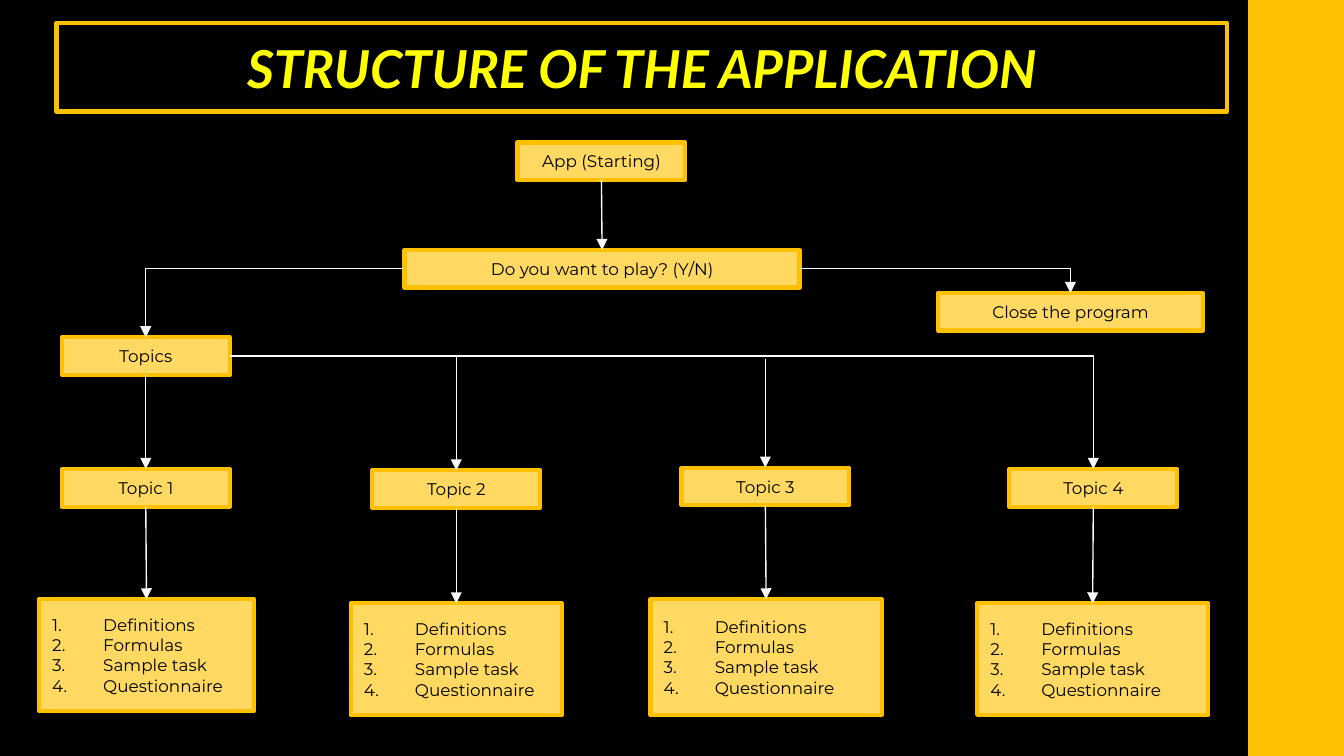
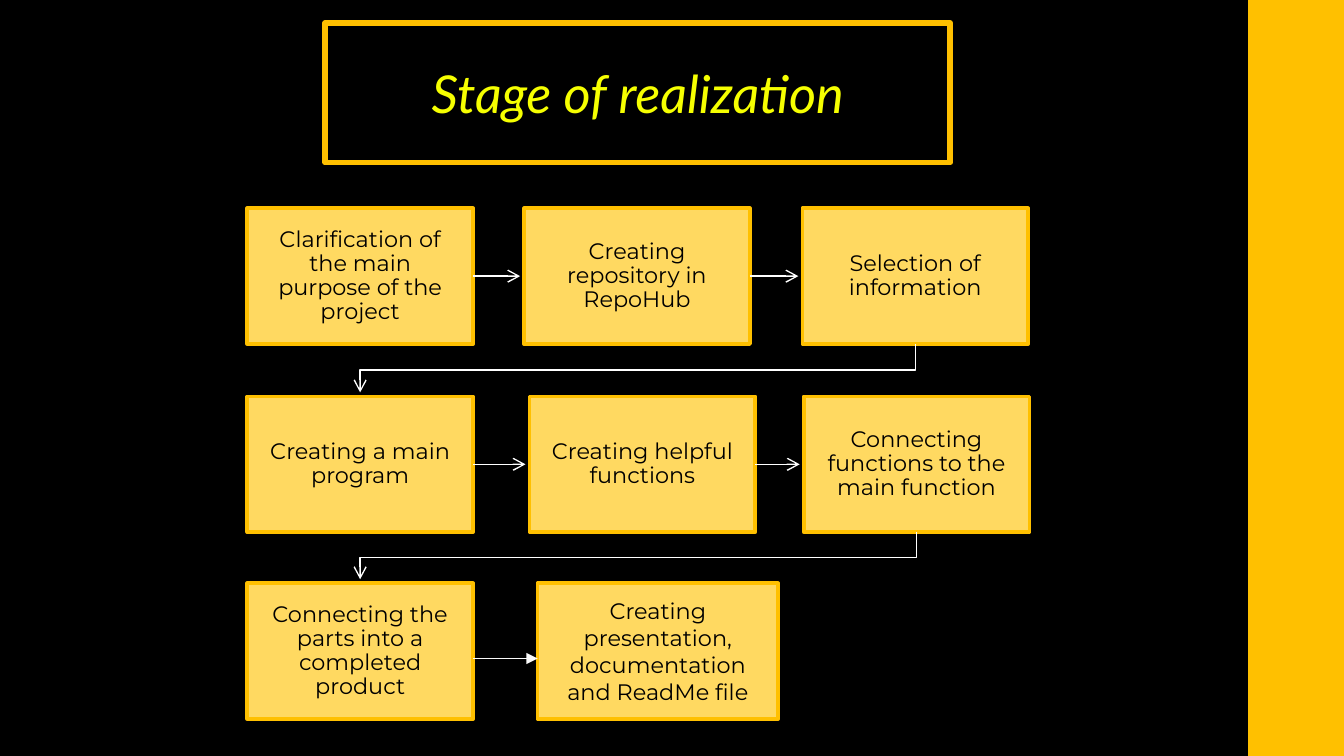
from lxml import etree
from pptx import Presentation
from pptx import util as u
from pptx.dml.color import RGBColor
from pptx.enum import shapes, text
from pptx.oxml.ns import qn

COLORS = {
    "back": "000000", "gold": "FFC000", "box": "FFD961", "ink": "000000",
    "line": "F9F9F9", "arrow": "FFFFFF", "title": "FFFF00", "stage title": "F6FF00",
}
PAGE_W, BAND_W = 10, 0.7
PAGE_H = PAGE_W * 9 / 16
BODY_FONT, TITLE_FONT = "Montserrat", "Lato"

# Content of the flow chart: name -> (text, left, top, width)
STRUCTURE_TITLE = "STRUCTURE OF THE APPLICATION"
NODE_W, NODE_H = 1.25, 0.28
NODES = {
    "start": ("App (Starting)", 3.85, 1.06, NODE_W),
    "ask": ("Do you want to play? (Y/N)", 3.01, 1.86, 2.94),
    "close": ("Close the program", 6.98, 2.18, 1.97),
    "topics": ("Topics", 0.46, 2.51, NODE_W),
    "topic 1": ("Topic 1", 0.46, 3.49, NODE_W),
    "topic 2": ("Topic 2", 2.77, 3.5, NODE_W),
    "topic 3": ("Topic 3", 5.07, 3.48, NODE_W),
    "topic 4": ("Topic 4", 7.51, 3.49, NODE_W),
}
TOPIC_PARTS = ["Definitions", "Formulas", "Sample task", "Questionnaire"]
PART_BOXES = {
    "topic 1": (0.29, 4.46, 1.6, 0.83),
    "topic 2": (2.61, 4.49, 1.57, 0.83),
    "topic 3": (4.84, 4.46, 1.72, 0.86),
    "topic 4": (7.27, 4.49, 1.72, 0.83),
}
STRAIGHT_LINKS = [("start", "ask"), ("topics", "topic 1")]
ELBOW_LINKS = [("ask", 1, "topics"), ("ask", 3, "close"), ("topics", 3, "topic 4")]
BRANCHES = [("topic 2", 2.65), ("topic 3", 2.67)]

# Content of the stages: top of the row, then (left, text) for each box
STAGES_TITLE = "Stage of realization"
STAGE_W, STAGE_H, LAST_W = 1.68, 1.01, 1.79
STAGE_ROWS = [
    (1.55, [(1.84, "Clarification of the main purpose of the project"),
            (3.9, "Creating repository in RepoHub"),
            (5.97, "Selection of information")]),
    (2.95, [(1.84, "Creating a main program"),
            (3.94, "Creating helpful functions"),
            (5.98, "Connecting functions to the main function")]),
    (4.34, [(1.84, "Connecting the parts into a completed product")]),
]
LAST_STAGE = (4, 4.34, "Creating presentation, documentation and ReadMe file")
ARROW_GAP = 0.03
LAST_ARROW_Y = 4.9


def rgb(name):
    return RGBColor.from_string(COLORS[name])


def inches(*values):
    return [u.Inches(value) for value in values]


def set_all(target, values):
    for name, value in values.items():
        setattr(target, name, value)


def set_frame(frame, insets, anchor):
    left, top = inches(*insets)
    set_all(frame, {
        "word_wrap": True, "auto_size": text.MSO_AUTO_SIZE.NONE, "vertical_anchor": anchor,
        "margin_left": left, "margin_right": left, "margin_top": top, "margin_bottom": top,
    })


def write(para, words, color, **font):
    span = para.add_run()
    span.text = words
    set_all(span.font, font)
    span.font.color.rgb = rgb(color)


def outline(shape, width):
    shape.line.color.rgb = rgb("gold")
    shape.line.width = u.Pt(width)


def add_box(page, place, lines, size, border, insets=(0.1, 0.05), spacing=None, numbered=False):
    box = page.shapes.add_shape(shapes.MSO_SHAPE.RECTANGLE, *inches(*place))
    box.shadow.inherit = False
    box.fill.solid()
    box.fill.fore_color.rgb = rgb("box")
    outline(box, border)
    frame = box.text_frame
    set_frame(frame, insets, text.MSO_ANCHOR.MIDDLE)
    for index, words in enumerate(lines):
        para = frame.add_paragraph() if index else frame.paragraphs[0]
        para.alignment = text.PP_ALIGN.JUSTIFY if numbered else text.PP_ALIGN.CENTER
        if spacing:
            para.line_spacing = spacing
        write(para, words, "ink", name=BODY_FONT, size=u.Pt(size))
        if numbered:
            number_paragraph(para)
    return box


def number_paragraph(para):
    props = para._p.get_or_add_pPr()
    indent = u.Inches(0.38)
    props.set("marL", str(indent))
    props.set("indent", str(-indent))
    tint = etree.SubElement(props, qn("a:buClr"))
    etree.SubElement(tint, qn("a:srgbClr"), val=COLORS["ink"])
    etree.SubElement(props, qn("a:buAutoNum"), type="arabicPeriod")


def style_arrow(line, color, head):
    line.line.color.rgb = rgb(color)
    line.line.width = u.Pt(0.75)
    props = line._element.spPr
    etree.SubElement(props.find(qn("a:ln")), qn("a:tailEnd"), type=head)
    etree.SubElement(props, qn("a:effectLst"))


def add_arrow(page, ends=(0, 0, 0, 0), begin=None, end=None, elbow=False,
              color="line", head="triangle"):
    """Draw an arrow; begin and end are (box, side) pairs that it joins."""
    kind = shapes.MSO_CONNECTOR.ELBOW if elbow else shapes.MSO_CONNECTOR.STRAIGHT
    arrow = page.shapes.add_connector(kind, *inches(*ends))
    if begin:
        arrow.begin_connect(*begin)
    if end:
        arrow.end_connect(*end)
    if elbow:
        arrow._element.spPr.find(qn("a:prstGeom")).set("prst", "bentConnector2")
    style_arrow(arrow, color, head)


def add_wrap_arrow(page, points):
    points = [tuple(inches(*point)) for point in points]
    builder = page.shapes.build_freeform(*points[0])
    builder.add_line_segments(points[1:], close=False)
    arrow = builder.convert_to_shape()
    arrow.fill.background()
    style_arrow(arrow, "arrow", "arrow")


def add_page(deck, words, place, color, border, insets, anchor, bold):
    """Add a page with the gold side band and the framed title."""
    page = deck.slides.add_slide(deck.slide_layouts[5])
    band = page.shapes.add_shape(
        shapes.MSO_SHAPE.RECTANGLE, *inches(PAGE_W - BAND_W, 0, BAND_W, PAGE_H))
    band.shadow.inherit = False
    band.fill.solid()
    band.fill.fore_color.rgb = rgb("gold")
    outline(band, 2)

    title = page.shapes.title
    set_all(title, dict(zip(("left", "top", "width", "height"), inches(*place))))
    outline(title, border)
    set_frame(title.text_frame, insets, anchor)
    para = title.text_frame.paragraphs[0]
    para.alignment = text.PP_ALIGN.CENTER
    write(para, words, color, name=TITLE_FONT, size=u.Pt(28), bold=bold, italic=True)
    return page


def build_structure(deck):
    page = add_page(deck, STRUCTURE_TITLE, (0.42, 0.17, 8.71, 0.66), "title", 2.25,
                    (0.1, 0.1), text.MSO_ANCHOR.TOP, True)
    # Boxes
    nodes = {name: add_box(page, (left, top, width, NODE_H), [words], 9, 2.25)
             for name, (words, left, top, width) in NODES.items()}
    # Numbered lists under the topics
    for name, place in PART_BOXES.items():
        parts = add_box(page, place, TOPIC_PARTS, 9, 2.25, numbered=True)
        add_arrow(page, begin=(nodes[name], 2), end=(parts, 0))
    # Links between the boxes
    for first, second in STRAIGHT_LINKS:
        add_arrow(page, begin=(nodes[first], 2), end=(nodes[second], 0))
    for first, side, second in ELBOW_LINKS:
        add_arrow(page, begin=(nodes[first], side), end=(nodes[second], 0), elbow=True)
    for name, top in BRANCHES:
        _, left, bottom, width = NODES[name]
        middle = left + width / 2
        add_arrow(page, (middle, top, middle, bottom), end=(nodes[name], 0))


def build_stages(deck):
    page = add_page(deck, STAGES_TITLE, (2.42, 0.17, 4.65, 1.04), "stage title", 3,
                    (0.1, 0.05), text.MSO_ANCHOR.MIDDLE, False)
    for index, (top, stages) in enumerate(STAGE_ROWS):
        # Boxes of the row
        boxes = [add_box(page, (left, top, STAGE_W, STAGE_H), [words], 12, 2,
                         insets=(0.11, 0.09), spacing=0.9) for left, words in stages]
        # Arrows along the row
        middle = top + STAGE_H / 2
        for box, (left, _), (following, _) in zip(boxes, stages, stages[1:]):
            add_arrow(page, (left + STAGE_W, middle, following - ARROW_GAP, middle),
                      begin=(box, 3), color="arrow", head="arrow")
        # Arrow to the next row
        if index + 1 < len(STAGE_ROWS):
            next_top, next_stages = STAGE_ROWS[index + 1]
            start = stages[-1][0] + STAGE_W / 2
            finish = next_stages[0][0] + STAGE_W / 2
            bottom = top + STAGE_H
            turn = (bottom + next_top) / 2
            add_wrap_arrow(page, [(start, bottom), (start, turn), (finish, turn),
                                  (finish, next_top - ARROW_GAP)])
    # Last stage
    left, top, words = LAST_STAGE
    add_box(page, (left, top, LAST_W, STAGE_H), [words], 12, 2)
    row_end = STAGE_ROWS[-1][1][-1][0] + STAGE_W
    add_arrow(page, (row_end, LAST_ARROW_Y, left, LAST_ARROW_Y))


def main():
    deck = Presentation()
    deck.slide_width, deck.slide_height = inches(PAGE_W, PAGE_H)
    back = deck.slide_master.background.fill
    back.solid()
    back.fore_color.rgb = rgb("back")
    build_structure(deck)
    build_stages(deck)
    deck.save("out.pptx")


if __name__ == "__main__":
    main()
